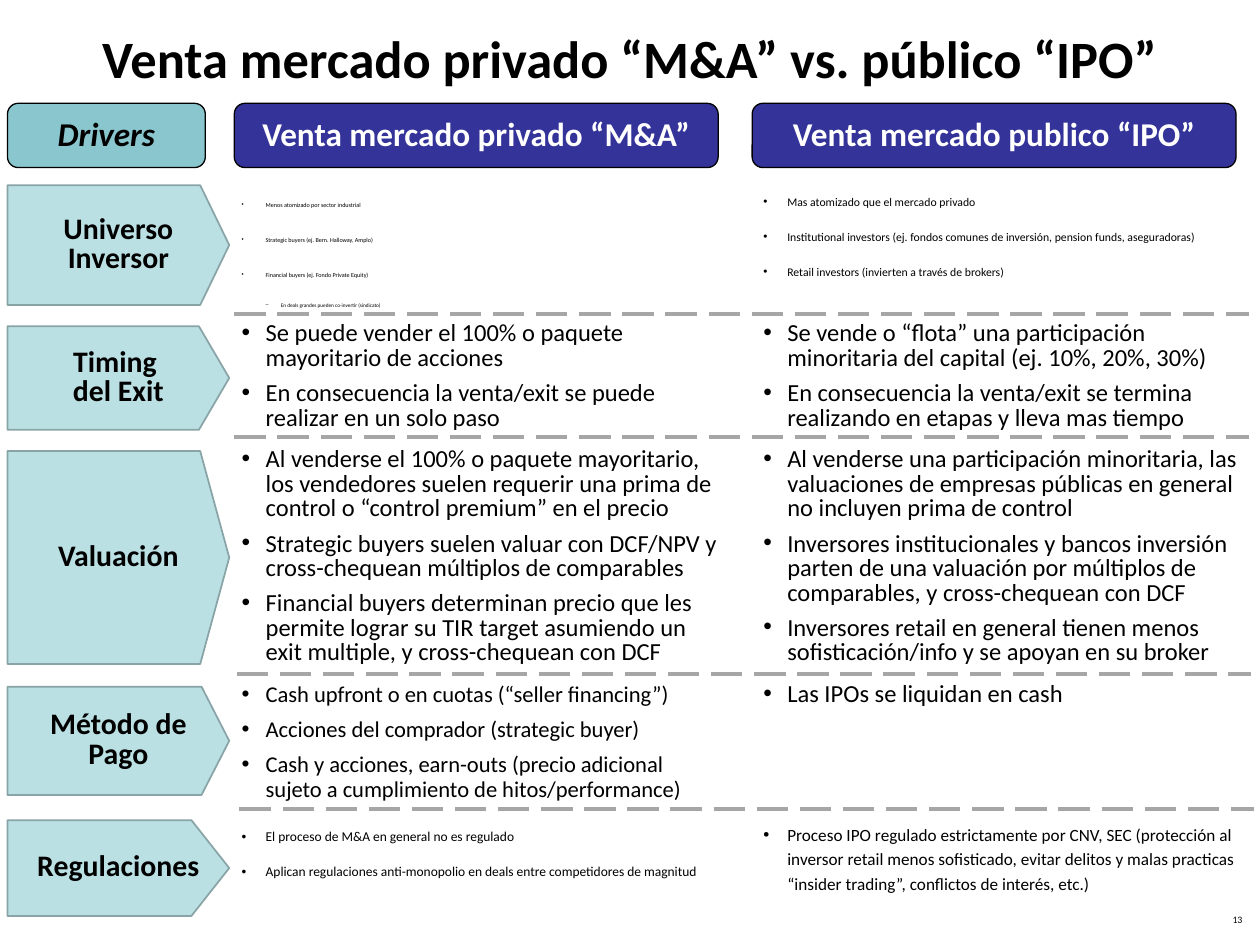
from pptx import Presentation
from pptx.dml.color import RGBColor
from pptx.enum.dml import MSO_LINE
from pptx.enum.shapes import MSO_CONNECTOR, MSO_SHAPE
from pptx.enum.text import MSO_ANCHOR, PP_ALIGN
from pptx.oxml.ns import qn
from pptx.util import Inches, Pt
from lxml import etree

CENTER, RIGHT = PP_ALIGN.CENTER, PP_ALIGN.RIGHT
MIDDLE = MSO_ANCHOR.MIDDLE
LONG_DASH = MSO_LINE.LONG_DASH

FONT = "Calibri"
COLORS = {
    "black": "000000", "white": "FFFFFF", "navy": "333399", "teal": "8AC6CD",
    "pale": "BBE0E3", "edge": "89A4A7", "gray": "A6A6A6",
}

TITLE = "Venta mercado privado “M&A” vs. público “IPO”"
PAGE_NUMBER = "13"

# text, left, width, fill, font colour, italic
HEADERS = [
    ("Drivers", 0.06, 1.57, "teal", "black", True),
    ("Venta mercado privado “M&A”", 1.86, 3.84, "navy", "white", False),
    ("Venta mercado publico “IPO”", 5.97, 3.84, "navy", "white", False),
]

# Each column holds its font size and its bullets; sub-bullets start with "–"
ROWS = [
    {"label": ["Universo Inversor"], "arrow": (1.47, 0.95, 1.59), "text": (1.41, 0.81),
     "private": (3.5, [
         "Menos atomizado por sector industrial",
         "Strategic buyers (ej. Bern. Halloway, Amplo)",
         "Financial buyers (ej. Fondo Private Equity)",
         "–En deals grandes pueden co-invertir (sindicato)"]),
     "public": (6.7, [
         "Mas atomizado que el mercado privado",
         "Institutional investors (ej. fondos comunes de inversión, pension funds, aseguradoras)",
         "Retail investors (invierten a través de brokers)"])},
    {"label": ["Timing ", "del Exit"], "arrow": (2.59, 0.82, 1.58), "text": (2.51, 0.9),
     "private": (14, [
         "Se puede vender el 100% o paquete mayoritario de acciones",
         "En consecuencia la venta/exit se puede realizar en un solo paso"]),
     "public": (14, [
         "Se vende o “flota” una participación minoritaria del capital (ej. 10%, 20%, 30%)",
         "En consecuencia la venta/exit se termina realizando en etapas y lleva mas tiempo"])},
    {"label": ["Valuación"], "arrow": (3.58, 1.69, 1.59), "text": (3.51, 1.76),
     "private": (14, [
         "Al venderse el 100% o paquete mayoritario, los vendedores suelen requerir "
         "una prima de control o “control premium” en el precio",
         "Strategic buyers suelen valuar con DCF/NPV y cross-chequean múltiplos de comparables",
         "Financial buyers determinan precio que les permite lograr su TIR target "
         "asumiendo un exit multiple, y cross-chequean con DCF"]),
     "public": (14, [
         "Al venderse una participación minoritaria, las valuaciones de empresas "
         "públicas en general no incluyen prima de control",
         "Inversores institucionales y bancos inversión parten de una valuación por "
         "múltiplos de comparables, y cross-chequean con DCF",
         "Inversores retail en general tienen menos sofisticación/info y se apoyan en su broker"])},
    {"label": ["Método de Pago"], "arrow": (5.45, 0.86, 1.6), "text": (5.37, 0.94),
     "private": (12.9, [
         "Cash upfront o en cuotas (“seller financing”)",
         "Acciones del comprador (strategic buyer)",
         "Cash y acciones, earn-outs (precio adicional sujeto a cumplimiento de hitos/performance)"]),
     "public": (14, ["Las IPOs se liquidan en cash"])},
    {"label": ["Regulaciones"], "arrow": (6.51, 0.76, 1.52), "text": (6.46, 0.59),
     "private": (7.7, [
         "El proceso de M&A en general no es regulado",
         "Aplican regulaciones anti-monopolio en deals entre competidores de magnitud"]),
     "public": (9.8, [
         "Proceso IPO regulado estrictamente por CNV, SEC (protección al inversor retail "
         "menos sofisticado, evitar delitos y malas practicas “insider trading”, "
         "conflictos de interés, etc.)"])},
]
COLUMN_LEFTS = {"private": 1.82, "public": 5.96}
COLUMN_WIDTH = 4.01
ARROW_LEFT, ARROW_TIP = 0.06, 1.82
DIVIDERS = [(1.86, 2.49), (1.86, 3.47), (1.88, 5.35), (1.9, 6.42)]
DIVIDER_LENGTH = 8.05


def rgb(name):
    return RGBColor.from_string(COLORS[name])


def write(frame, lines, size, color="black", align=None, spacing=None, bold=False, italic=False):
    frame.word_wrap = True
    for index, line in enumerate(lines):
        paragraph = frame.paragraphs[0] if index == 0 else frame.add_paragraph()
        paragraph.text = line
        paragraph.alignment = align
        paragraph.line_spacing = spacing
        font = paragraph.font
        font.name, font.size, font.bold, font.italic = FONT, Pt(size), bold, italic
        font.color.rgb = rgb(color)


def paint(shape, fill, line, width):
    shape.shadow.inherit = False
    shape.fill.solid()
    shape.fill.fore_color.rgb = rgb(fill)
    shape.line.color.rgb = rgb(line)
    shape.line.width = Pt(width)
    shape.text_frame.vertical_anchor = MIDDLE


def add_bullet(paragraph, character, margin, hanging):
    properties = paragraph._p.get_or_add_pPr()
    properties.set("marL", str(Inches(margin)))
    properties.set("indent", str(-Inches(hanging)))
    etree.SubElement(properties, qn("a:buFont"), typeface="Arial")
    etree.SubElement(properties, qn("a:buChar"), char=character)


def add_header(slide, text, left, width, fill, color, italic):
    shape = slide.shapes.add_shape(MSO_SHAPE.ROUNDED_RECTANGLE, Inches(left), Inches(0.82),
                                   Inches(width), Inches(0.51))
    paint(shape, fill, "black", 0.75)
    write(shape.text_frame, [text], 19, color, CENTER, 0.9, True, italic)


def add_arrow(slide, label, top, height, shoulder):
    """Draw a row label whose point starts at x = shoulder."""
    bottom = top + height
    corners = [(shoulder, top), (ARROW_TIP, top + height / 2), (shoulder, bottom),
               (ARROW_LEFT, bottom)]
    builder = slide.shapes.build_freeform(Inches(ARROW_LEFT), Inches(top))
    builder.add_line_segments([(Inches(x), Inches(y)) for x, y in corners], close=True)
    shape = builder.convert_to_shape()
    paint(shape, "pale", "edge", 1)
    write(shape.text_frame, label, 17, align=CENTER, spacing=Pt(17), bold=True)


def add_bullets(slide, left, top, height, size, items):
    box = slide.shapes.add_textbox(Inches(left), Inches(top), Inches(COLUMN_WIDTH), Inches(height))
    write(box.text_frame, [item.lstrip("–") for item in items], size, spacing=Pt(14))
    for paragraph, item in zip(box.text_frame.paragraphs, items):
        if item.startswith("–"):
            paragraph.level = 1
            paragraph.space_before = Pt(3)
            paragraph.font.size = Pt(3)
            add_bullet(paragraph, "–", 0.31, 0.12)
        else:
            paragraph.space_before = Pt(6)
            add_bullet(paragraph, "•", 0.19, 0.19)


def add_divider(slide, left, y):
    line = slide.shapes.add_connector(MSO_CONNECTOR.STRAIGHT, Inches(left), Inches(y),
                                      Inches(left + DIVIDER_LENGTH), Inches(y))
    line.line.color.rgb = rgb("gray")
    line.line.width = Pt(2.25)
    line.line.dash_style = LONG_DASH
    etree.SubElement(line._element.spPr, qn("a:effectLst"))


def main():
    presentation = Presentation()
    presentation.slide_width, presentation.slide_height = Inches(10), Inches(7.5)
    slide = presentation.slides.add_slide(presentation.slide_layouts[5])

    title = slide.shapes.title
    title.left, title.top, title.width, title.height = 0, 0, Inches(10), Inches(0.91)
    title.text_frame.vertical_anchor = MIDDLE
    write(title.text_frame, [TITLE], 30, align=CENTER, bold=True)

    for header in HEADERS:
        add_header(slide, *header)
    for row in ROWS:
        add_arrow(slide, row["label"], *row["arrow"])
        for column, left in COLUMN_LEFTS.items():
            add_bullets(slide, left, *row["text"], *row[column])
    for divider in DIVIDERS:
        add_divider(slide, *divider)

    number = slide.shapes.add_textbox(Inches(7.63), Inches(7.22), Inches(2.33), Inches(0.21))
    write(number.text_frame, [PAGE_NUMBER], 5.6, align=RIGHT, spacing=0.8)
    presentation.save("out.pptx")


if __name__ == "__main__":
    main()
